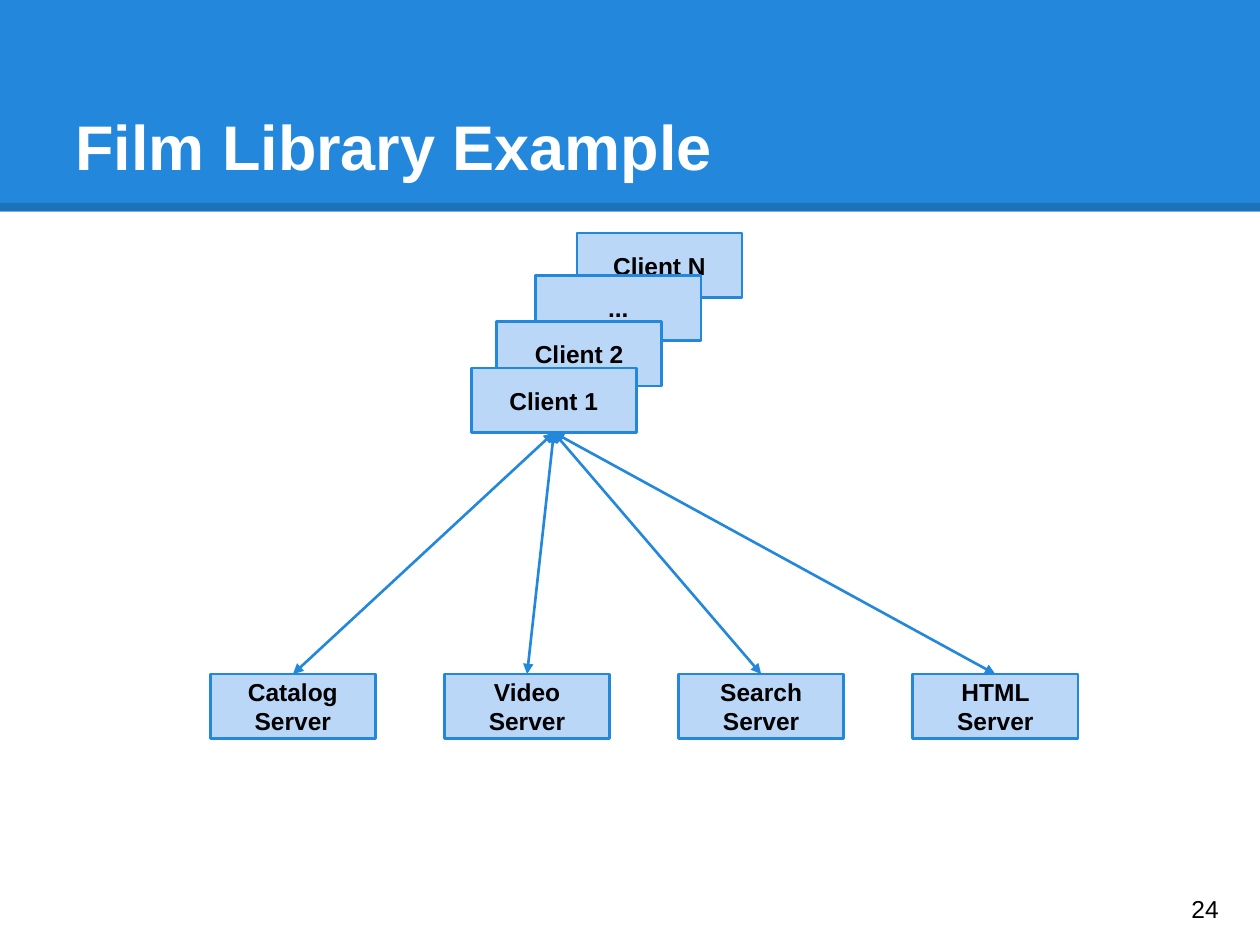
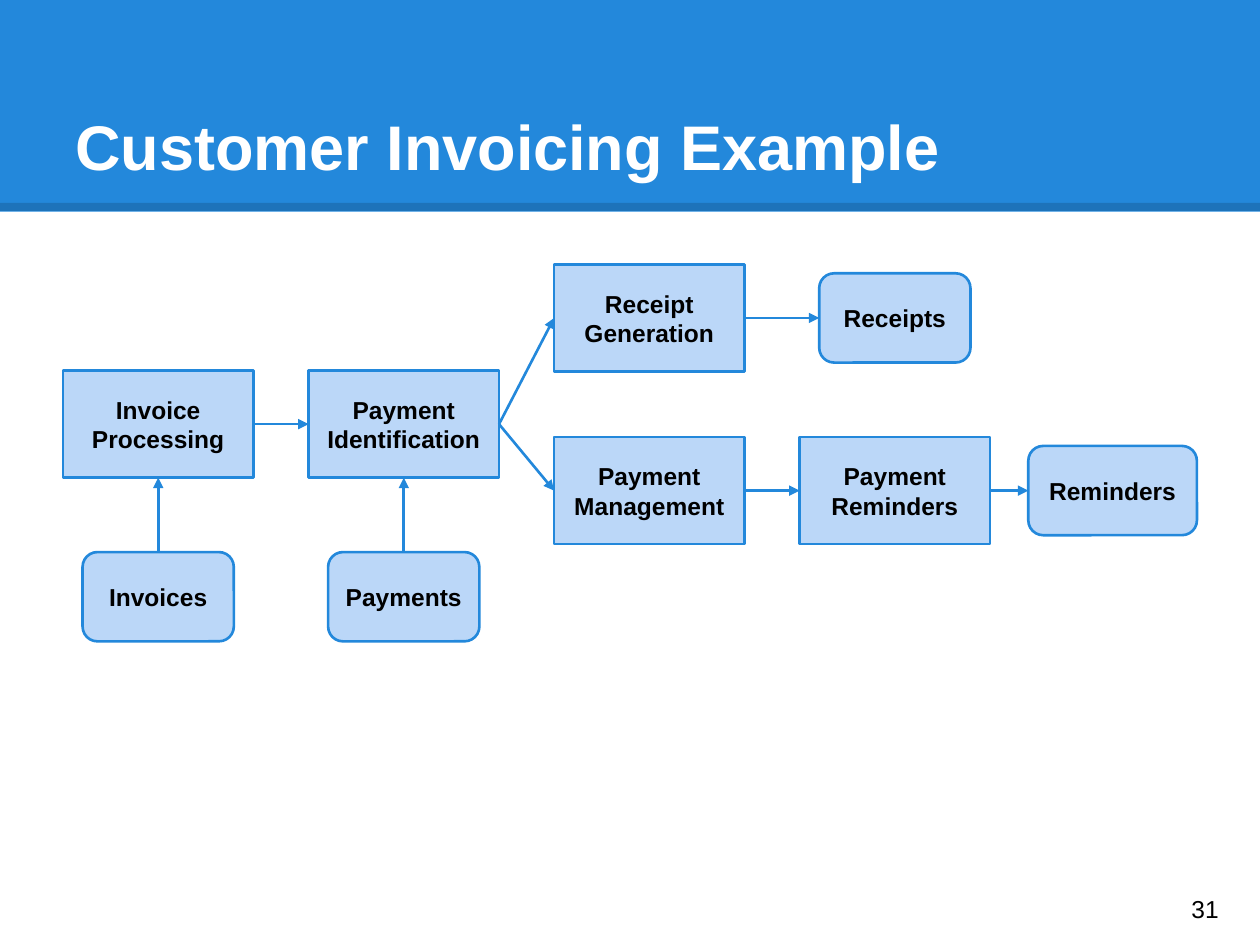
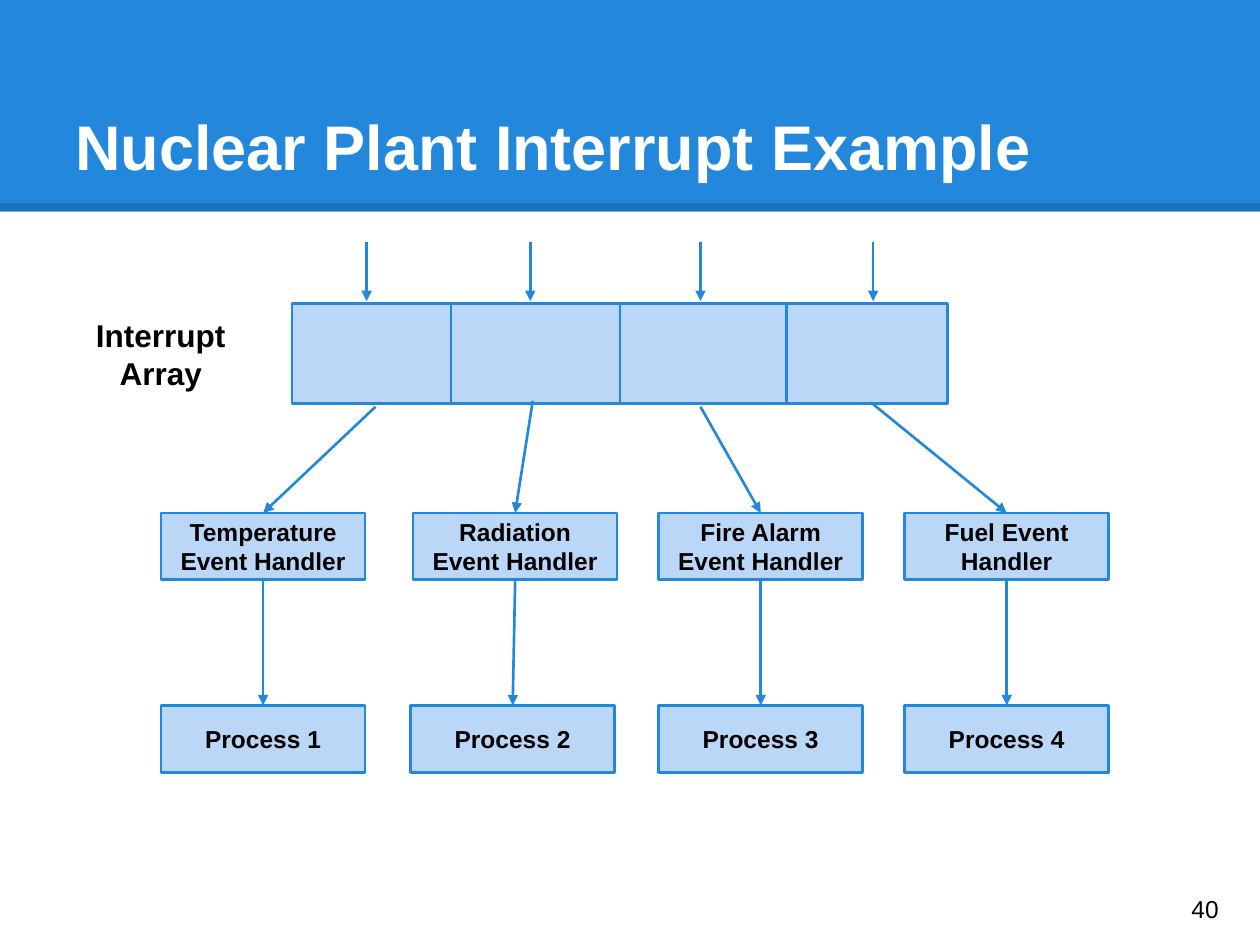
from lxml import etree
from pptx import Presentation
from pptx import util as u
from pptx.dml.color import RGBColor
from pptx.enum import shapes, text
from pptx.oxml.ns import qn

COLORS = {"band": "2388DB", "box": "BBD7F8", "ink": "000000", "title": "FFFFFF"}
FONT = "Arial"
WIDTH, HEIGHT = 25.4, 19.05
TOP, LEFT, BOTTOM, RIGHT = range(4)
RECT = shapes.MSO_SHAPE.RECTANGLE
ROUNDED = shapes.MSO_SHAPE.ROUNDED_RECTANGLE

LIBRARY_SIZE = (3.33, 1.3)
CLIENTS = [
    ("Client N", 11.63, 4.7),
    ("...", 10.8, 5.56),
    ("Client 2", 10.01, 6.48),
    ("Client 1", 9.5, 7.42),
]
SERVERS = ["Catalog Server", "Video Server", "Search Server", "HTML Server"]
SERVER_LEFT, SERVER_STEP, SERVER_TOP = 4.24, 4.72, 13.59

STEP_SIZE = (3.84, 2.16)
DATA_SIZE = (3.05, 1.8)
COLUMNS = [3.19 + 4.95 * column for column in range(4)] + [22.43]
ROWS = {"receipt": 6.41, "invoice": 8.55, "payment": 9.89, "input": 12.03}
INVOICING = [
    ("Invoice Processing", RECT, STEP_SIZE, 0, "invoice"),
    ("Payment Identification", RECT, STEP_SIZE, 1, "invoice"),
    ("Receipt Generation", RECT, STEP_SIZE, 2, "receipt"),
    ("Payment Management", RECT, STEP_SIZE, 2, "payment"),
    ("Payment Reminders", RECT, STEP_SIZE, 3, "payment"),
    ("Invoices", ROUNDED, DATA_SIZE, 0, "input"),
    ("Payments", ROUNDED, DATA_SIZE, 1, "input"),
    ("Receipts", ROUNDED, DATA_SIZE, 3, "receipt"),
    ("Reminders", ROUNDED, (3.4, 1.8), 4, "payment"),
]
FLOWS = [
    ("Invoice Processing", "Payment Identification"),
    ("Invoices", "Invoice Processing"),
    ("Payments", "Payment Identification"),
    ("Payment Identification", "Receipt Generation"),
    ("Receipt Generation", "Receipts"),
    ("Payment Identification", "Payment Management"),
    ("Payment Management", "Payment Reminders"),
    ("Payment Reminders", "Reminders"),
]

ARRAY = (5.89, 6.12, 13.21, 2.01)
DIVIDERS = [9.09, 12.5, 15.85]
INTERRUPT_TOP, INTERRUPT_BOTTOM = 4.88, 6.07
HANDLER_SIZE = (4.11, 1.35)
HANDLER_TOP, PROCESS_TOP = 10.34, 14.22
CHANNELS = [
    {"handler": "Temperature Event Handler", "left": 3.25, "process": "Process 1",
     "process_left": 3.25, "interrupt": 7.39, "dispatch": (7.57, 8.2)},
    {"handler": "Radiation Event Handler", "left": 8.33, "process": "Process 2",
     "process_left": 8.28, "interrupt": 10.69, "dispatch": (10.74, 8.08)},
    {"handler": "Fire Alarm Event Handler", "left": 13.28, "process": "Process 3",
     "process_left": 13.28, "interrupt": 14.12, "dispatch": (14.12, 8.2)},
    {"handler": "Fuel Event Handler", "left": 18.24, "process": "Process 4",
     "process_left": 18.24, "interrupt": 17.6, "dispatch": (17.58, 8.13)},
]


def color(name):
    return RGBColor.from_string(COLORS[name])


def write(shape, words, size=14, bold=True, ink="ink",
          align=text.PP_ALIGN.CENTER, anchor=text.MSO_ANCHOR.MIDDLE):
    frame = shape.text_frame
    frame.word_wrap = True
    frame.vertical_anchor = anchor
    frame.margin_left = frame.margin_right = u.Cm(0.25)
    frame.margin_top = frame.margin_bottom = u.Cm(0.25)
    paragraph = frame.paragraphs[0]
    paragraph.text = words
    paragraph.alignment = align
    font = paragraph.font
    font.name, font.size, font.bold = FONT, u.Pt(size), bold
    font.color.rgb = color(ink)


def add_label(slide, words, place, **style):
    write(slide.shapes.add_textbox(*map(u.Cm, place)), words, **style)


def add_box(slide, words, place, kind=RECT, fill="box"):
    shape = slide.shapes.add_shape(kind, *map(u.Cm, place))
    shape.shadow.inherit = False
    shape.fill.solid()
    shape.fill.fore_color.rgb = color(fill)
    shape.line.color.rgb = color("band")
    shape.line.width = u.Pt(1.5)
    if words:
        write(shape, words)
    return shape


def add_line(slide, start=(0, 0), end=(0, 0), ink="band", width=1.5, arrows=()):
    line = slide.shapes.add_connector(
        shapes.MSO_CONNECTOR.STRAIGHT, *map(u.Cm, (*start, *end)))
    line.line.color.rgb = color(ink)
    line.line.width = u.Pt(width)
    properties = line.line._get_or_add_ln()
    for arrow in arrows:
        etree.SubElement(properties, qn(f"a:{arrow}"), type="triangle")
    etree.SubElement(line._element.spPr, qn("a:effectLst"))
    return line


def join(slide, source, source_side, target, target_side, arrows=("tailEnd",)):
    line = add_line(slide, arrows=arrows)
    line.begin_connect(source, source_side)
    line.end_connect(target, target_side)


def add_slide(presentation, title, number):
    slide = presentation.slides.add_slide(presentation.slide_layouts[6])
    band = add_box(slide, "", (0, 0, WIDTH, 4.27), fill="band")
    band.line.fill.background()
    edge = add_line(slide, (0, 4.17), (WIDTH, 4.17), "ink", 4.5)
    ink = edge._element.spPr.find(".//" + qn("a:srgbClr"))
    etree.SubElement(ink, qn("a:alpha"), val="15000")
    add_label(slide, title, (1.27, 0.76, 22.86, 3.18), size=36, ink="title",
              align=text.PP_ALIGN.LEFT, anchor=text.MSO_ANCHOR.BOTTOM)
    add_label(slide, number, (23.77, 17.6, 1.52, 1.45), bold=False,
              align=text.PP_ALIGN.LEFT)
    return slide


def build_library(presentation):
    slide = add_slide(presentation, "Film Library Example", "24")
    for name, left, top in CLIENTS:
        client = add_box(slide, name, (left, top, *LIBRARY_SIZE))
    for index, name in enumerate(SERVERS):
        left = SERVER_LEFT + index * SERVER_STEP
        server = add_box(slide, name, (left, SERVER_TOP, *LIBRARY_SIZE))
        join(slide, server, TOP, client, BOTTOM, ("headEnd", "tailEnd"))


def build_invoicing(presentation):
    slide = add_slide(presentation, "Customer Invoicing Example", "31")
    boxes, rows = {}, {}
    for name, kind, (width, height), column, row in INVOICING:
        place = (COLUMNS[column] - width / 2, ROWS[row] - height / 2, width, height)
        boxes[name] = add_box(slide, name, place, kind)
        rows[name] = row
    for source, target in FLOWS:
        sides = (TOP, BOTTOM) if rows[source] == "input" else (RIGHT, LEFT)
        join(slide, boxes[source], sides[0], boxes[target], sides[1])


def build_interrupts(presentation):
    slide = add_slide(presentation, "Nuclear Plant Interrupt Example", "40")
    add_box(slide, "", ARRAY)
    array_top, array_bottom = ARRAY[1], ARRAY[1] + ARRAY[3]
    for x in DIVIDERS:
        add_line(slide, (x, array_top), (x, array_bottom))
    add_label(slide, "Interrupt Array", (1.12, array_top, 4.24, 1.63), size=18,
              anchor=text.MSO_ANCHOR.TOP)
    for channel in CHANNELS:
        x = channel["interrupt"]
        add_line(slide, (x, INTERRUPT_TOP), (x, INTERRUPT_BOTTOM), arrows=("tailEnd",))
        handler = add_box(slide, channel["handler"],
                          (channel["left"], HANDLER_TOP, *HANDLER_SIZE))
        process = add_box(slide, channel["process"],
                          (channel["process_left"], PROCESS_TOP, *HANDLER_SIZE))
        dispatch = add_line(slide, channel["dispatch"], arrows=("tailEnd",))
        dispatch.end_connect(handler, TOP)
        join(slide, handler, BOTTOM, process, TOP)


def main():
    presentation = Presentation()
    presentation.slide_width, presentation.slide_height = u.Cm(WIDTH), u.Cm(HEIGHT)
    build_library(presentation)
    build_invoicing(presentation)
    build_interrupts(presentation)
    presentation.save("out.pptx")


if __name__ == "__main__":
    main()
